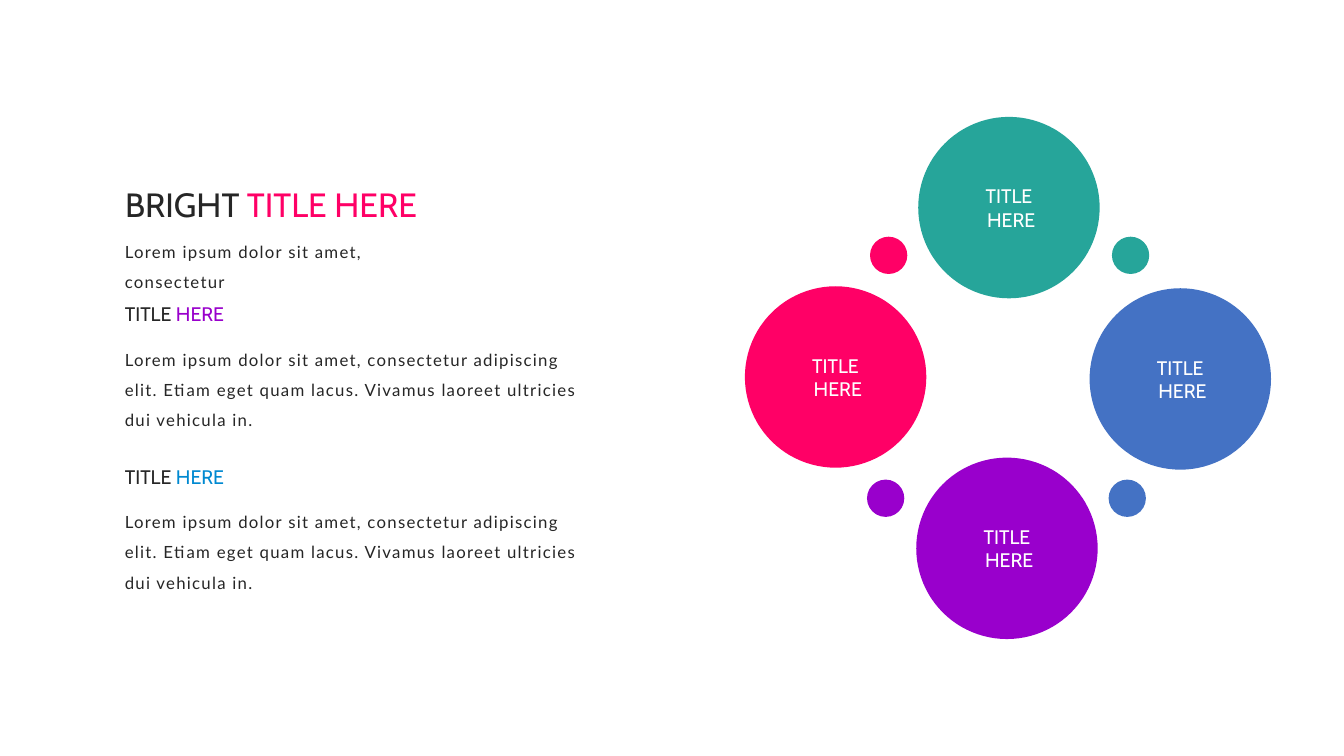
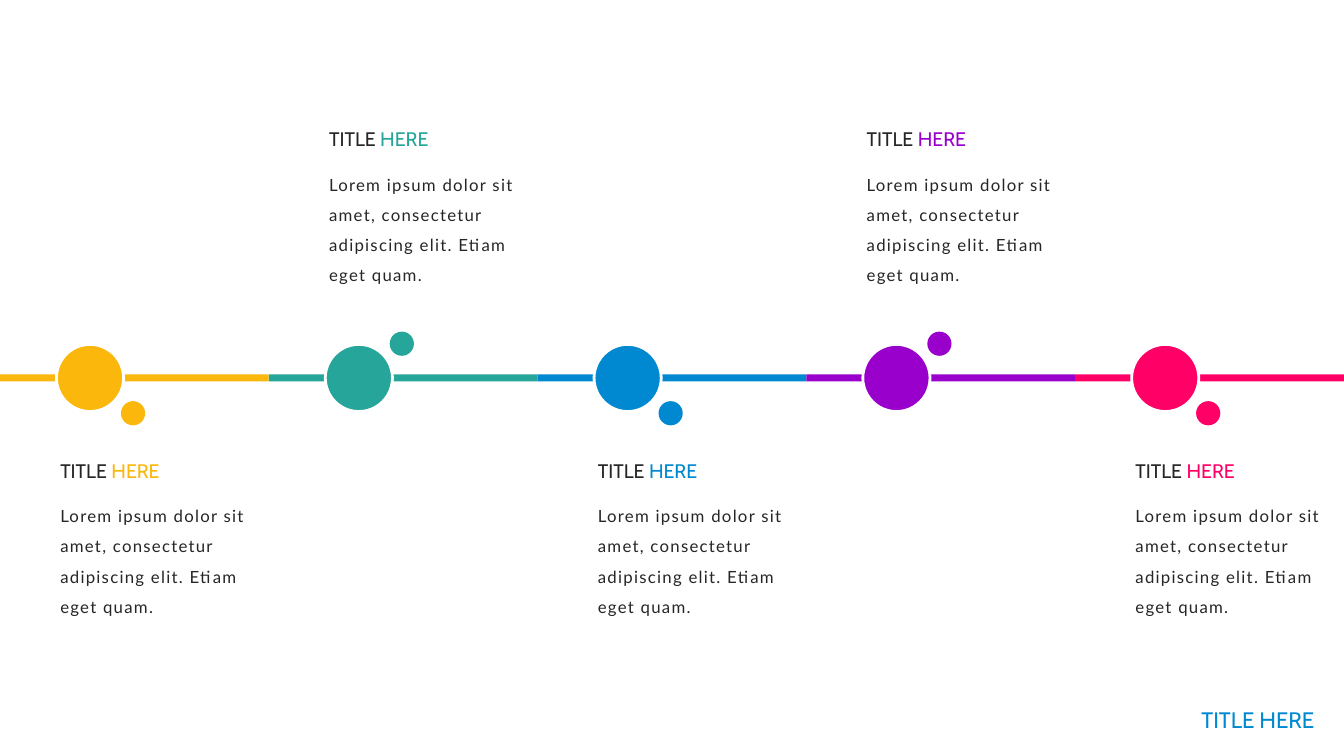
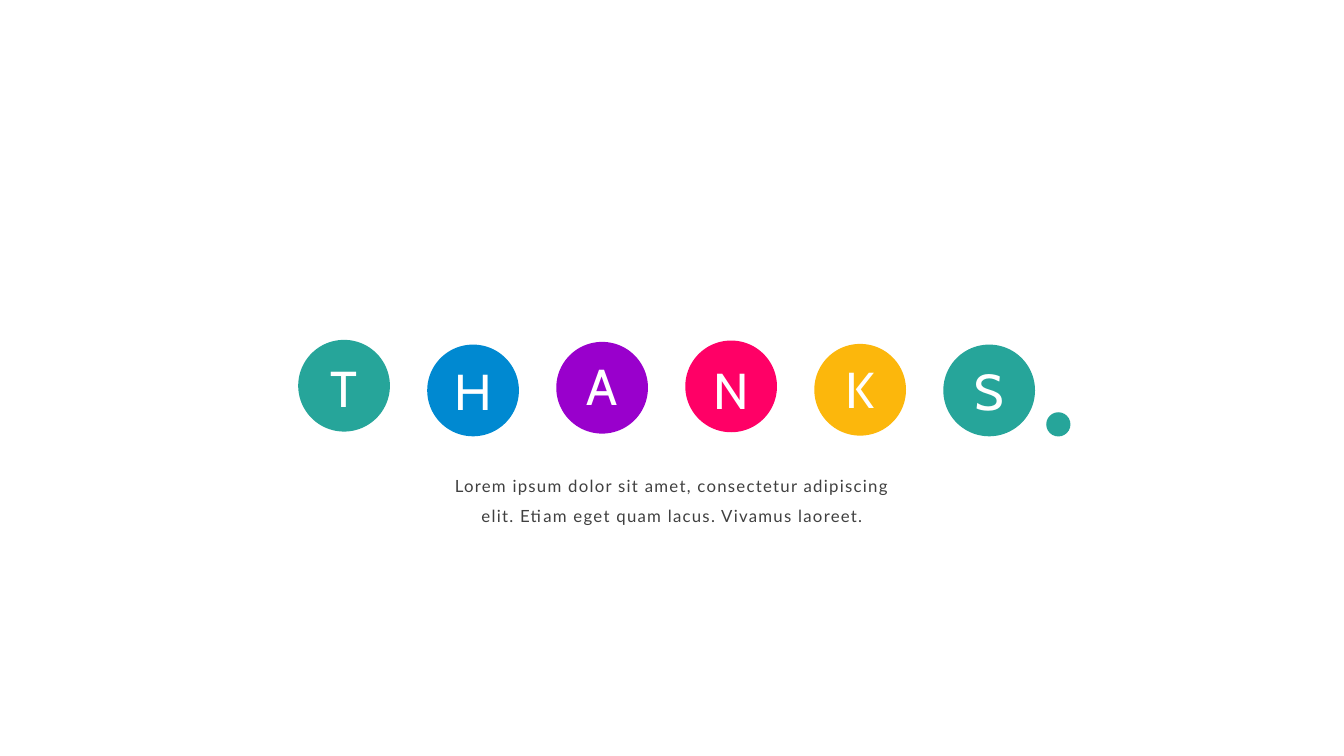
from dataclasses import dataclass

from pptx import Presentation, util as u
from pptx.dml.color import RGBColor
from pptx.enum import shapes, text

COLORS = {
    "ink": "262626", "grey": "404040", "white": "FFFFFF",
    "teal": "26A59A", "blue": "0089D1", "violet": "9900CC",
    "pink": "FF0066", "amber": "FCB70C", "steel": "4472C4",
}
HEADING_FONT, BODY_FONT = "Cabin", "Lato"
COLUMNS, ROWS = 40, 22.5  # square cells of a third of an inch
CELL = u.Inches(1) / 3
MIDDLE = ROWS / 2
TITLE_LAYOUT, BLANK_LAYOUT = 5, 6
HEADING_TO_BODY = 1.11

SHORT_BODY = "Lorem ipsum dolor sit amet, consectetur adipiscing elit. Etiam eget quam."
LONG_BODY = ("Lorem ipsum dolor sit amet, consectetur adipiscing elit. Etiam eget quam lacus. "
             "Vivamus laoreet ultricies dui vehicula in.")
THANKS_BODY = ("Lorem ipsum dolor sit amet, consectetur adipiscing elit. Etiam eget quam lacus. "
               "Vivamus laoreet.")


@dataclass(frozen=True)
class Area:
    left: float
    top: float
    width: float
    height: float

    def emu(self) -> list[int]:
        return [round(n * CELL) for n in (self.left, self.top, self.width, self.height)]


@dataclass(frozen=True)
class Span:
    """A piece of text in one colour."""
    words: str
    color: str = "ink"


@dataclass(frozen=True)
class Style:
    font: str
    size: int
    align: text.PP_ALIGN = text.PP_ALIGN.LEFT
    line_spacing: float | None = None
    tracking: int | None = None  # hundredths of a point


CENTER, RIGHT = text.PP_ALIGN.CENTER, text.PP_ALIGN.RIGHT
TITLE = Style(HEADING_FONT, 24)
CORNER_TITLE = Style(HEADING_FONT, 16, RIGHT)
HEADING = Style(HEADING_FONT, 14)
BUBBLE_LABEL = Style(HEADING_FONT, 14, CENTER)
LETTER = Style(HEADING_FONT, 36, CENTER)
BODY = Style(BODY_FONT, 12, line_spacing=1.5, tracking=90)
CAPTION = Style(BODY_FONT, 12, CENTER, 1.5, 90)


@dataclass(frozen=True)
class Bubble:
    """Offsets of a circle and its satellite from the ring's centre."""
    color: str
    across: float
    down: float
    dot_across: float
    dot_down: float


@dataclass(frozen=True)
class Letter:
    """A letter, with the heights of its circle's and its own centre."""
    sign: str
    color: str
    circle_y: float
    sign_y: float


BUBBLES = [
    Bubble("pink", -5.13, -0.03, -3.55, -3.65),
    Bubble("teal", 0.03, -5.07, 3.65, -3.65),
    Bubble("violet", -0.03, 5.07, -3.64, 3.58),
    Bubble("steel", 5.13, 0.03, 3.55, 3.58),
]
STEPS = ["amber", "teal", "blue", "violet", "pink"]
LETTERS = [
    Letter("T", "teal", 11.48, 11.54),
    Letter("H", "blue", 11.62, 11.62),
    Letter("A", "violet", 11.54, 11.5),
    Letter("N", "pink", 11.5, 11.6),
    Letter("K", "amber", 11.6, 11.56),
    Letter("S", "teal", 11.62, 11.62),
]


def rgb(name: str) -> RGBColor:
    return RGBColor.from_string(COLORS[name])


def centered(x: float, y: float, width: float, height: float) -> Area:
    return Area(x - width / 2, y - height / 2, width, height)


def write(frame, lines: list[list[Span]], style: Style) -> None:
    """Fill a text frame with one paragraph for each list of spans."""
    frame.word_wrap = True
    for index, spans in enumerate(lines):
        paragraph = frame.add_paragraph() if index else frame.paragraphs[0]
        paragraph.alignment = style.align
        if style.line_spacing:
            paragraph.line_spacing = style.line_spacing
        for span in spans:
            run = paragraph.add_run()
            run.text = span.words
            run.font.name = style.font
            run.font.size = u.Pt(style.size)
            run.font.color.rgb = rgb(span.color)
            if style.tracking:
                run.font._element.set("spc", str(style.tracking))


def add_text(parent, area: Area, spans: list[Span], style: Style) -> None:
    frame = parent.shapes.add_textbox(*area.emu()).text_frame
    write(frame, [spans], style)
    frame.auto_size = text.MSO_AUTO_SIZE.SHAPE_TO_FIT_TEXT


def add_title(slide, area: Area, spans: list[Span], style: Style) -> None:
    title = slide.shapes.title
    title.left, title.top, title.width, title.height = area.emu()
    title.text_frame.vertical_anchor = text.MSO_ANCHOR.TOP
    write(title.text_frame, [spans], style)
    title.text_frame.auto_size = text.MSO_AUTO_SIZE.SHAPE_TO_FIT_TEXT


def add_filled(parent, kind: shapes.MSO_SHAPE, area: Area, color: str):
    shape = parent.shapes.add_shape(kind, *area.emu())
    shape.shadow.inherit = False
    shape.fill.solid()
    shape.fill.fore_color.rgb = rgb(color)
    shape.line.fill.background()
    return shape


def add_circle(parent, x: float, y: float, diameter: float, color: str):
    area = centered(x, y, diameter, diameter)
    return add_filled(parent, shapes.MSO_SHAPE.OVAL, area, color)


def add_entry(slide, left: float, top: float, color: str, body: str,
              width: float, height: float) -> None:
    """Add a two-coloured heading with its body text below."""
    heading = [Span("TITLE "), Span("HERE", color)]
    add_text(slide, Area(left, top, 5.61, 1.02), heading, HEADING)
    add_text(slide, Area(left, top + HEADING_TO_BODY, width, height), [Span(body)], BODY)


def build_ring(deck) -> None:
    slide = deck.slides.add_slide(deck.slide_layouts[TITLE_LAYOUT])
    margin, center_x = 3.42, COLUMNS * 0.75
    add_title(slide, Area(margin, 5.31, 16.59, 1.5),
              [Span("BRIGHT "), Span("TITLE HERE", "pink")], TITLE)
    add_text(slide, Area(margin, 6.75, 10.65, 1.11),
             [Span("Lorem ipsum dolor sit amet, consectetur")], BODY)
    for top, color in ((8.85, "violet"), (13.68, "blue")):
        add_entry(slide, margin, top, color, LONG_BODY, 14.16, 2.91)
    for bubble in BUBBLES:
        circle = add_circle(slide, center_x + bubble.across, MIDDLE + bubble.down,
                            5.4, bubble.color)
        circle.text_frame.vertical_anchor = text.MSO_ANCHOR.MIDDLE
        write(circle.text_frame, [[Span("TITLE", "white")], [Span(" HERE", "white")]],
              BUBBLE_LABEL)
        add_circle(slide, center_x + bubble.dot_across, MIDDLE + bubble.dot_down,
                   1.11, bubble.color)


def build_timeline(deck) -> None:
    slide = deck.slides.add_slide(deck.slide_layouts[TITLE_LAYOUT])
    add_title(slide, Area(33.81, 20.88, 5.61, 1.11), [Span("TITLE HERE", "blue")],
              CORNER_TITLE)
    step_width, bar_height = COLUMNS / len(STEPS), 0.21
    for index, color in enumerate(STEPS):
        left, above = index * step_width, index % 2 == 1
        add_filled(slide, shapes.MSO_SHAPE.RECTANGLE,
                   Area(left, MIDDLE - bar_height / 2, step_width, bar_height), color)
        marker = add_circle(slide, left + 2.68, MIDDLE, 2, color)
        marker.line.color.rgb = rgb("white")
        marker.line.width = u.Pt(2)
        add_circle(slide, left + 3.96, 10.23 if above else 12.3, 0.72, color)
        add_entry(slide, left + 1.5, 3.63 if above else 13.5, color, SHORT_BODY, 6.21, 3.81)


def build_thanks(deck) -> None:
    slide = deck.slides.add_slide(deck.slide_layouts[BLANK_LAYOUT])
    first_x, pitch = 10.24, 3.84
    for index, letter in enumerate(LETTERS):
        x = first_x + index * pitch
        group = slide.shapes.add_group_shape()
        add_circle(group, x, letter.circle_y, 2.73, letter.color)
        add_text(group, centered(x, letter.sign_y, 2.13, 2.13),
                 [Span(letter.sign, "white")], LETTER)
    add_circle(slide, 31.5, 12.63, 0.72, "teal")
    add_text(slide, Area(13.02, 13.71, 13.98, 2.01), [Span(THANKS_BODY, "grey")], CAPTION)


def main() -> None:
    deck = Presentation()
    deck.slide_width, deck.slide_height = round(COLUMNS * CELL), round(ROWS * CELL)
    for build in (build_ring, build_timeline, build_thanks):
        build(deck)
    deck.save("out.pptx")


if __name__ == "__main__":
    main()
